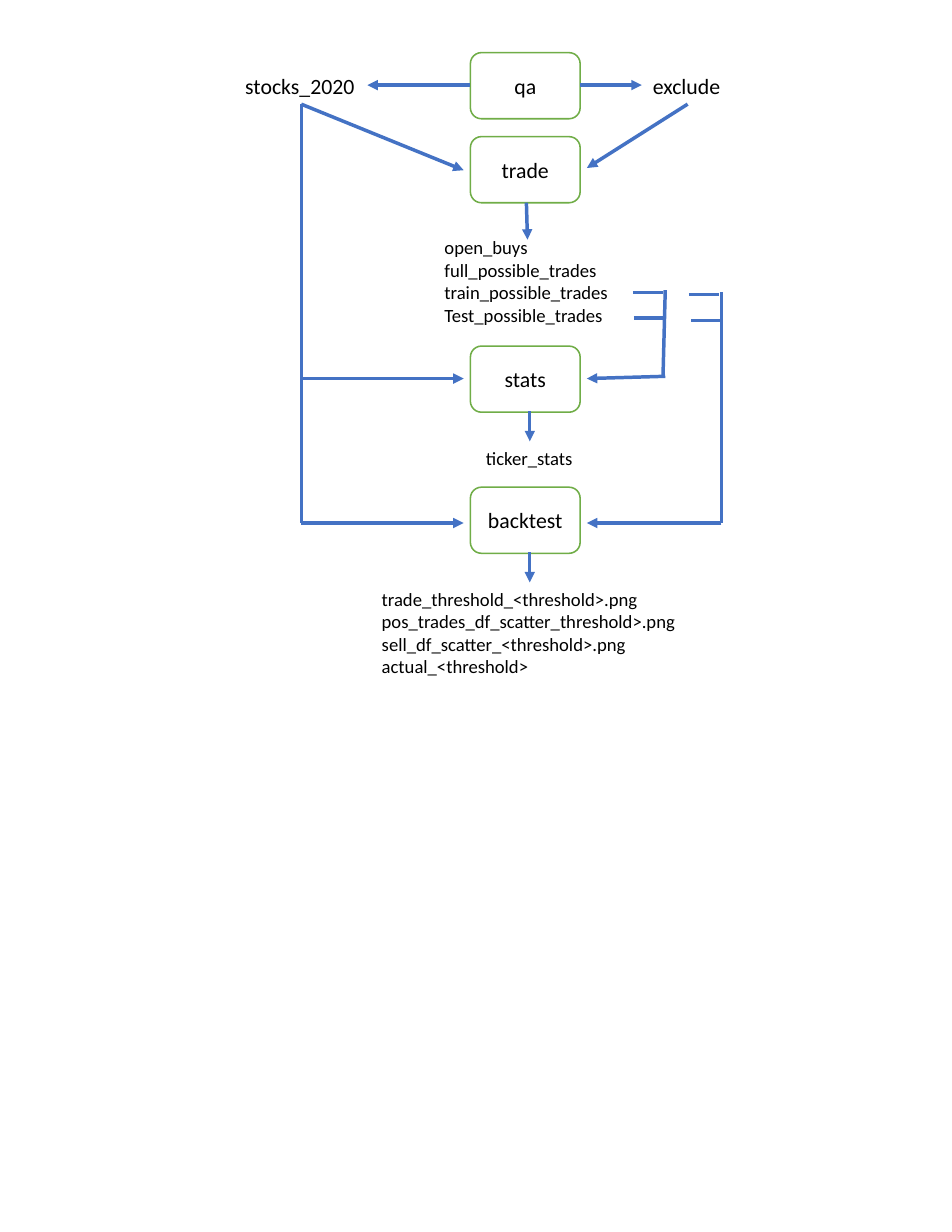
"""Build a flow chart of the qa, trade, stats and backtest steps with their files."""
from lxml import etree
from pptx import Presentation
from pptx.dml.color import RGBColor
from pptx.enum.shapes import MSO_CONNECTOR, MSO_SHAPE
from pptx.enum.text import MSO_ANCHOR, MSO_AUTO_SIZE, PP_ALIGN
from pptx.oxml.ns import qn
from pptx.util import Inches, Pt

ROUNDED = MSO_SHAPE.ROUNDED_RECTANGLE
STRAIGHT = MSO_CONNECTOR.STRAIGHT
MIDDLE = MSO_ANCHOR.MIDDLE
CENTER = PP_ALIGN.CENTER
FIT_TEXT = MSO_AUTO_SIZE.SHAPE_TO_FIT_TEXT

BOX_LEFT, BOX_WIDTH, BOX_HEIGHT = 4.2, 0.98, 0.59
BOX_RIGHT = BOX_LEFT + BOX_WIDTH
GAP = 0.06
ENTRY_LEFT, ENTRY_RIGHT = BOX_LEFT - GAP, BOX_RIGHT + GAP
STOCKS_COLUMN, OUTPUT_COLUMN = 2.69, 4.73
STATS_COLUMN, BACKTEST_COLUMN = 5.94, 6.44
QA_ROW, FILES_ROW, STATS_ROW, BACKTEST_ROW = 0.76, 0.93, 3.38, 4.67
TAP_LENGTH, ARROW_LENGTH = 0.27, 0.27


def color(hex_text):
    return RGBColor.from_string(hex_text)


def write_lines(shape, lines, size, alignment=None):
    shape.text_frame.text = "\n".join(lines)
    for paragraph in shape.text_frame.paragraphs:
        paragraph.alignment = alignment
        paragraph.font.name = "Calibri"
        paragraph.font.size = Pt(size)
        paragraph.font.color.rgb = color("000000")


presentation = Presentation()
presentation.slide_width = Inches(8.5)
presentation.slide_height = Inches(11)
slide = presentation.slides.add_slide(presentation.slide_layouts[6])

steps = [("qa", 0.47), ("trade", 1.22), ("stats", 3.09), ("backtest", 4.35)]
for name, top in steps:
    box = slide.shapes.add_shape(
        ROUNDED, Inches(BOX_LEFT), Inches(top), Inches(BOX_WIDTH), Inches(BOX_HEIGHT))
    box.shadow.inherit = False
    box.fill.solid()
    box.fill.fore_color.rgb = color("FFFFFF")
    box.line.color.rgb = color("70AD47")
    box.line.width = Pt(1)
    box.text_frame.vertical_anchor = MIDDLE
    box.text_frame.word_wrap = False
    write_lines(box, [name], 14, CENTER)

labels = [
    (2.09, 0.6, 1.19, 0.34, 14, ["stocks_2020"]),
    (5.73, 0.6, 0.81, 0.34, 14, ["exclude"]),
    (3.87, 2.06, 1.68, 0.91, 12, [
        "open_buys", "full_possible_trades",
        "train_possible_trades", "Test_possible_trades"]),
    (4.24, 3.94, 0.99, 0.3, 12, ["ticker_stats"]),
    (3.31, 5.2, 2.85, 0.91, 12, [
        "trade_threshold_<threshold>.png", "pos_trades_df_scatter_threshold>.png",
        "sell_df_scatter_<threshold>.png", "actual_<threshold>"]),
]
for left, top, width, height, size, lines in labels:
    label = slide.shapes.add_textbox(
        Inches(left), Inches(top), Inches(width), Inches(height))
    label.text_frame.word_wrap = False
    label.text_frame.auto_size = FIT_TEXT
    write_lines(label, lines, size)

arrows = [
    (BOX_RIGHT, QA_ROW, 5.73, QA_ROW),
    (BOX_LEFT, QA_ROW, 3.28, QA_ROW),
    (STOCKS_COLUMN, FILES_ROW, ENTRY_LEFT, 1.52),
    (6.14, FILES_ROW, ENTRY_RIGHT, 1.5),
    (4.7, 1.81, 4.71, 2.14),
    (STATS_COLUMN, 3.36, ENTRY_RIGHT, STATS_ROW),
    (BACKTEST_COLUMN, BACKTEST_ROW, ENTRY_RIGHT, BACKTEST_ROW),
]
for row in (STATS_ROW, BACKTEST_ROW):
    arrows.append((STOCKS_COLUMN, row, ENTRY_LEFT, row))
for row in (3.67, 4.93):
    arrows.append((OUTPUT_COLUMN, row, OUTPUT_COLUMN, row + ARROW_LENGTH))

plain_lines = [
    (STOCKS_COLUMN, FILES_ROW, STOCKS_COLUMN, BACKTEST_ROW),
    (STATS_COLUMN, 2.59, 5.92, 3.36),
    (BACKTEST_COLUMN, 2.61, BACKTEST_COLUMN, BACKTEST_ROW),
]
for left, row in [(5.65, 2.61), (5.66, 2.84), (6.15, 2.63), (6.17, 2.86)]:
    plain_lines.append((left, row, left + TAP_LENGTH, row))

for points in plain_lines + arrows:
    connector = slide.shapes.add_connector(STRAIGHT, *map(Inches, points))
    connector.line.color.rgb = color("4472C4")
    connector.line.width = Pt(2.25)
    properties = connector.element.spPr
    if points in arrows:
        etree.SubElement(properties.find(qn("a:ln")), qn("a:tailEnd"), type="triangle")
    etree.SubElement(properties, qn("a:effectLst"))

presentation.save("out.pptx")
